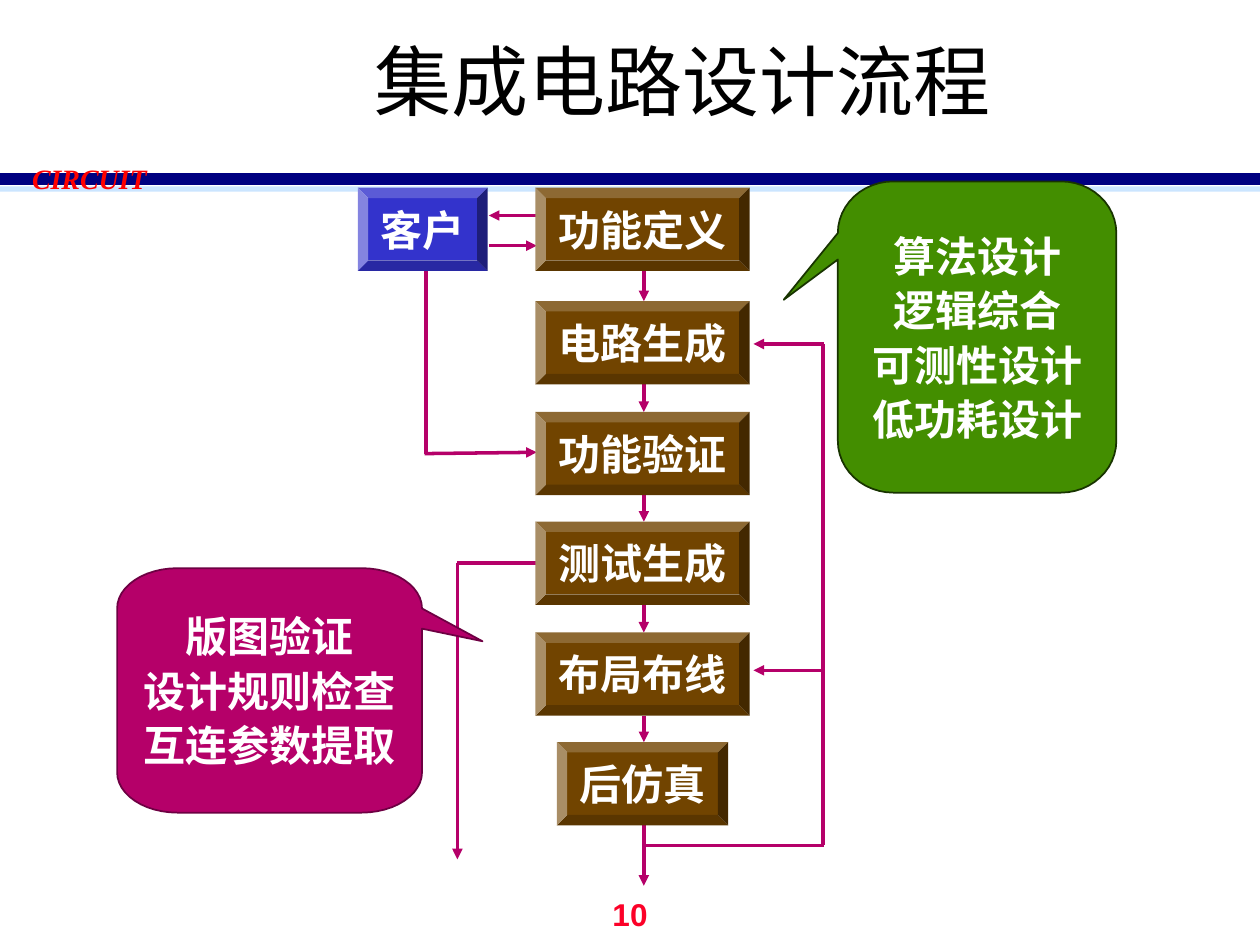
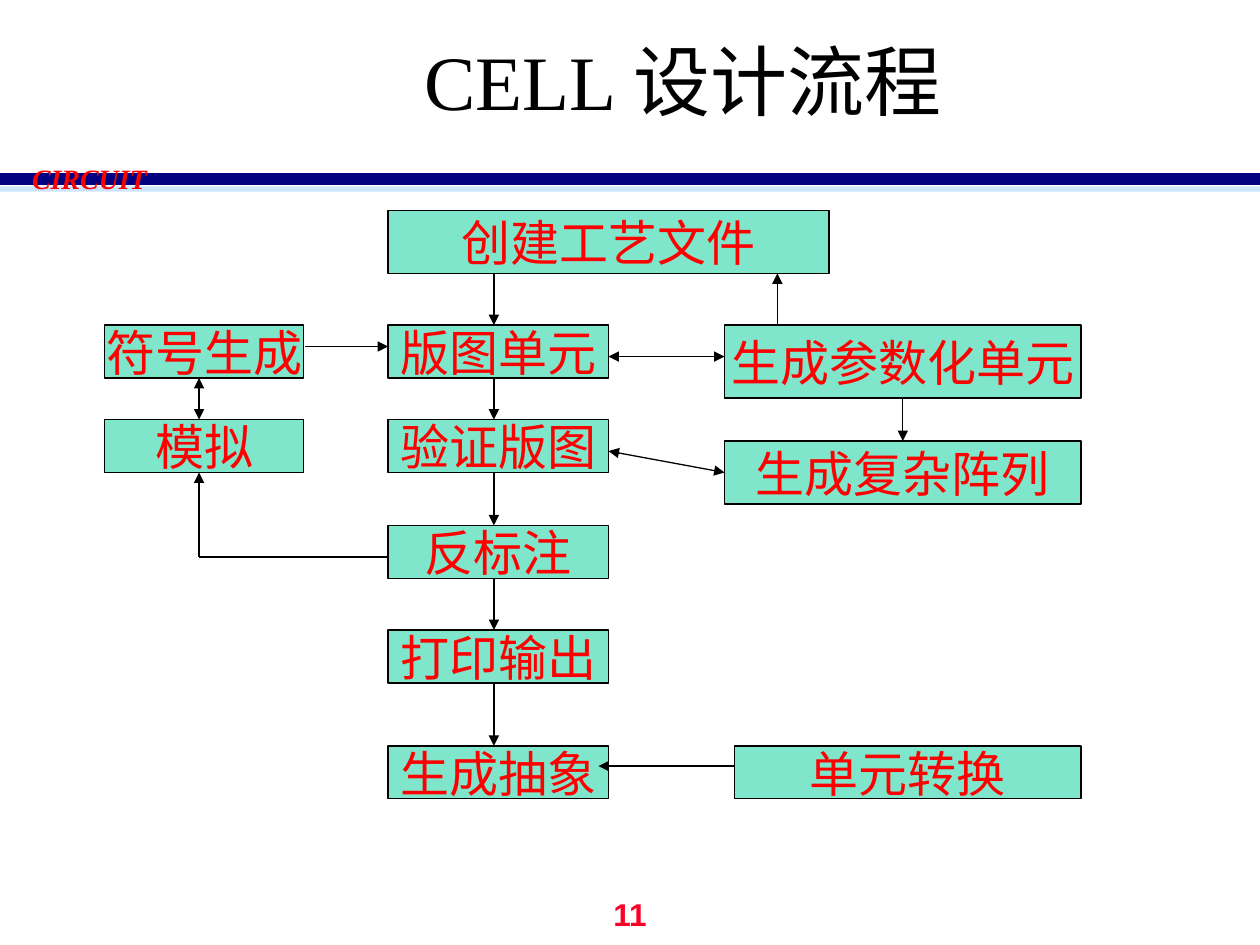
from math import cos, pi, sin

from pptx import Presentation
from pptx.dml.color import RGBColor
from pptx.enum.shapes import MSO_CONNECTOR, MSO_SHAPE
from pptx.enum.text import MSO_ANCHOR, PP_ALIGN
from pptx.oxml import parse_xml
from pptx.oxml.ns import nsdecls, qn
from pptx.oxml.xmlchemy import OxmlElement
from pptx.util import Inches, Pt

INK = {
    "black": "000000", "white": "FFFFFF", "red": "FF0000", "number": "FC0128",
    "navy": "000080", "sky": "99CCFF", "mint": "00CC99", "blue": "3333CC",
    "brown": "714400", "plum": "B50069", "wine": "6E0043",
    "green": "438E00", "moss": "183400",
}
SERIF, SANS = "Times New Roman", "Arial"


def rgb(name):
    return RGBColor.from_string(INK[name])


def fade(fill, alpha):
    """Make a solid fill partly transparent; alpha is in percent."""
    node = OxmlElement("a:alpha")
    node.set("val", str(alpha * 1000))
    fill.find(".//" + qn("a:srgbClr")).append(node)


def cast(run):
    """Give a run a soft grey text shadow."""
    glow = parse_xml(
        f'<a:effectLst {nsdecls("a")}><a:outerShdw dist="35921" dir="2700000">'
        '<a:srgbClr val="808080"/></a:outerShdw></a:effectLst>')
    run._r.get_or_add_rPr().find(qn("a:solidFill")).addnext(glow)


def put(shape, text, size=24, font=SANS, color="white", bold=False,
        italic=False, wrap=False, gap=0, shadow=False):
    frame = shape.text_frame
    frame.word_wrap = wrap
    frame.vertical_anchor = MSO_ANCHOR.MIDDLE
    for i, line in enumerate(text.split("\n")):
        para = frame.add_paragraph() if i else frame.paragraphs[0]
        para.alignment = PP_ALIGN.CENTER
        if i and gap:
            para.space_before = Pt(gap)
        run = para.add_run()
        run.text = line
        face = run.font
        face.size, face.name = Pt(size), font
        face.bold, face.italic = bold, italic
        face.color.rgb = rgb(color)
        if shadow:
            cast(run)


def label(slide, area, text, **form):
    put(slide.shapes.add_textbox(*map(Inches, area)), text, **form)


def paint(shape, fill, edge=None, width=1):
    shape.shadow.inherit = False
    shape.fill.solid()
    shape.fill.fore_color.rgb = rgb(fill)
    if edge:
        shape.line.color.rgb = rgb(edge)
        shape.line.width = Pt(width)
    else:
        shape.line.fill.background()


def link(slide, start, end, color="black", width=0.75, head=False, tail=False,
         alpha=None, begin=None, finish=None):
    """Draw a line; begin and finish are (shape, side) pairs to join."""
    wire = slide.shapes.add_connector(
        MSO_CONNECTOR.STRAIGHT, *map(Inches, (*start, *end)))
    wire.line.color.rgb = rgb(color)
    wire.line.width = Pt(width)
    stroke = wire.line._get_or_add_ln()
    if alpha:
        fade(stroke, alpha)
    for tag, want in (("a:headEnd", head), ("a:tailEnd", tail)):
        if want:
            tip = OxmlElement(tag)
            tip.set("type", "triangle")
            stroke.append(tip)
    wire._element.spPr.append(OxmlElement("a:effectLst"))
    if begin:
        wire.begin_connect(*begin)
    if finish:
        wire.end_connect(*finish)


def bevel(slide, area, text, fill="brown"):
    box = slide.shapes.add_shape(MSO_SHAPE.BEVEL, *map(Inches, area))
    box.adjustments[0] = 0.125
    paint(box, fill)
    put(box, text, bold=True)


def cell(slide, area, text):
    box = slide.shapes.add_shape(MSO_SHAPE.RECTANGLE, *map(Inches, area))
    paint(box, "mint", "black", 0.75)
    fade(box._element.spPr.find(qn("a:solidFill")), 50)
    put(box, text, size=28, font=SERIF, color="red")
    return box


def bubble(slide, area, radii, wedge, text, fill, edge):
    """Rounded box with a pointer on its left or right side.

    wedge is the tip and the lower end of the pointer's base; the upper end
    is where the corner arc meets the side.
    """
    left, top, right, low = area
    rx, ry = radii
    tip, base = wedge
    west = tip[0] < left
    turns = ((left + rx, top + ry), (right - rx, top + ry),
             (right - rx, low - ry), (left + rx, low - ry))
    points = []
    for turn, (x, y) in enumerate(turns):
        for step in range(13):
            angle = pi + (turn + step / 12) * pi / 2
            points.append((x + rx * cos(angle), y + ry * sin(angle)))
        if turn == 1 and not west:
            points += [tip, (right, base)]
    if west:
        points += [(left, base), tip]
    path = [(Inches(x), Inches(y)) for x, y in points]
    form = slide.shapes.build_freeform(*path[0])
    form.add_line_segments(path[1:], close=True)
    shape = form.convert_to_shape()
    paint(shape, fill, edge)
    put(shape, text, bold=True, gap=2.3, shadow=True)
    frame = shape.text_frame
    frame.margin_left = Inches(left - tip[0] if west else 0)
    frame.margin_right = Inches(0 if west else tip[0] - right)


def page(deck, title, number):
    slide = deck.slides.add_slide(deck.slide_layouts[5])
    link(slide, (0, 1.5), (10, 1.5), color="sky", width=3, alpha=50)
    link(slide, (0, 1.42), (10, 1.42), color="navy", width=7)
    label(slide, (0, 1.33, 1.42, 0.17), "CIRCUIT", size=16, font=SERIF,
          color="red", bold=True, italic=True)
    label(slide, (4.46, 7, 1.08, 0.5), str(number), size=18, color="number",
          bold=True)
    head = slide.shapes.title
    head.left, head.top, head.width, head.height = map(
        Inches, (1.17, 0.17, 8.5, 0.92))
    put(head, title, size=44, font=SERIF, color="black", wrap=True)
    return slide


def chip(deck):
    """Integrated circuit design flow."""
    slide = page(deck, "集成电路设计流程", 10)
    pen = {"color": "plum", "width": 2}
    mid, tall, wide = 5.11, 0.66, 1.7
    steps = ("功能定义", "电路生成", "功能验证", "测试生成", "布局布线", "后仿真")
    tops = (1.49, 2.39, 3.27, 4.14, 5.02, 5.89)

    for top, after in zip(tops, (*tops[1:], 7.03)):
        link(slide, (mid, top + tall), (mid, after), tail=True, **pen)
    link(slide, (3.88, 1.71), (4.26, 1.71), head=True, **pen)
    link(slide, (3.88, 1.95), (4.26, 1.95), tail=True, **pen)
    link(slide, (3.38, 2.12), (3.38, 3.6), **pen)
    link(slide, (3.37, 3.6), (4.26, 3.59), tail=True, **pen)
    link(slide, (4.31, 4.47), (3.63, 4.47), **pen)
    link(slide, (3.63, 4.47), (3.63, 6.82), tail=True, **pen)
    link(slide, (mid, 6.71), (6.54, 6.71), **pen)
    link(slide, (6.53, 6.71), (6.53, 2.73), **pen)
    for y in (2.73, 5.32):
        link(slide, (5.98, y), (6.54, y), head=True, **pen)

    bevel(slide, (2.84, tops[0], 1.03, tall), "客户", fill="blue")
    for text, top in zip(steps, tops):
        width = wide if len(text) == 4 else 1.36
        bevel(slide, (5.1 - width / 2, top, width, tall), text)

    bubble(slide, (6.65, 1.44, 8.86, 3.91), (0.44, 0.41),
           ((6.22, 2.38), 2.06),
           "算法设计\n逻辑综合\n可测性设计\n低功耗设计", "green", "moss")
    bubble(slide, (0.93, 4.51, 3.35, 6.45), (0.48, 0.32),
           ((3.83, 5.09), 4.99),
           "版图验证\n设计规则检查\n互连参数提取", "plum", "wine")


def layout(deck):
    """Cell design flow."""
    slide = page(deck, "CELL 设计流程", 11)
    left, mid, right, tall = 0.83, 3.08, 5.75, 0.42
    tops = (2.58, 3.33, 4.17, 5, 5.92)
    cell(slide, (mid, 1.67, 3.5, 0.5), "创建工艺文件")
    names = ("版图单元", "验证版图", "反标注", "打印输出", "生成抽象")
    for text, top in zip(names, tops):
        cell(slide, (mid, top, 1.75, tall), text)
    for text, top in zip(("符号生成", "模拟"), tops):
        cell(slide, (left, top, 1.58, tall), text)
    param = cell(slide, (right, tops[0], 2.83, 0.58), "生成参数化单元")
    array = cell(slide, (right, 3.5, 2.83, 0.5), "生成复杂阵列")
    cell(slide, (5.83, tops[-1], 2.75, tall), "单元转换")

    lows = (2.17, *(top + tall for top in tops))
    for low, top in zip(lows, tops):
        link(slide, (3.92, low), (3.92, top), tail=True)
    link(slide, (6.17, 2.58), (6.17, 2.17), tail=True)
    link(slide, (7.17, 3.17), (7.17, 3.5), tail=True,
         begin=(param, 2), finish=(array, 0))
    link(slide, (5.83, 6.08), (4.75, 6.08), tail=True)
    link(slide, (2.42, 2.75), (mid, 2.75), tail=True)
    link(slide, (mid, 4.42), (1.58, 4.42))
    link(slide, (1.58, 4.42), (1.58, 3.75), tail=True)
    link(slide, (1.58, 3.33), (1.58, 3), head=True, tail=True)
    link(slide, (4.83, 2.83), (right, 2.83), head=True, tail=True)
    link(slide, (4.83, 3.58), (right, 3.75), head=True, tail=True,
         finish=(array, 1))


def main():
    deck = Presentation()
    deck.slide_width, deck.slide_height = Inches(10), Inches(7.5)
    chip(deck)
    layout(deck)
    deck.save("out.pptx")


if __name__ == "__main__":
    main()
